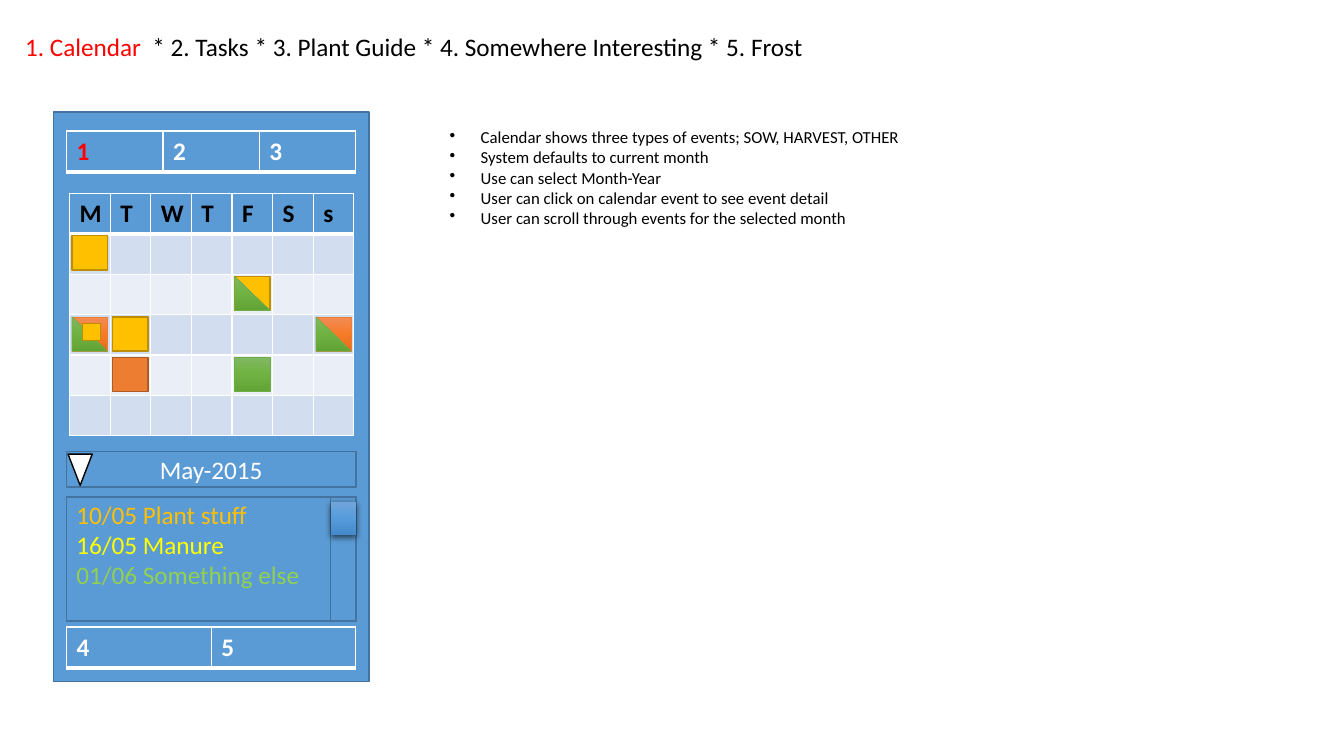
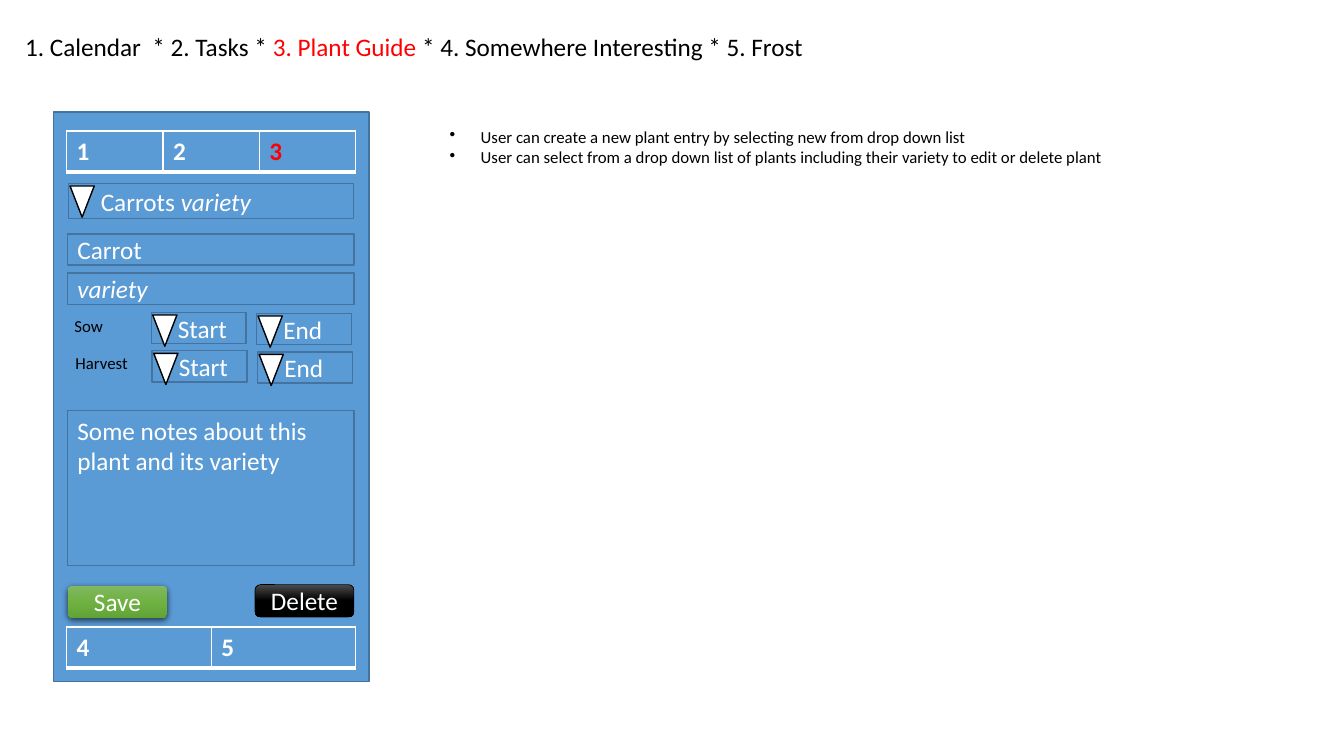
from dataclasses import dataclass

from pptx import Presentation
from pptx.dml.color import RGBColor
from pptx.enum.shapes import MSO_SHAPE as Preset
from pptx.enum.text import MSO_ANCHOR as Anchor, PP_ALIGN as Align
from pptx.oxml import parse_xml
from pptx.oxml.ns import nsdecls, qn
from pptx.util import Inches, Pt


@dataclass(frozen=True)
class Theme:
    font: str = "Calibri"
    large: int = 18
    small: int = 12
    ink: str = "000000"
    paper: str = "FFFFFF"
    active: str = "FF0000"
    panel: str = "5B9BD5"
    panel_edge: str = "43739E"
    bands: tuple = ("D2DEEF", "EAEFF7")
    gold: str = "FFC000"
    gold_edge: str = "BD8E00"
    orange: str = "ED7D31"
    orange_edge: str = "AF5C24"
    green: str = "70AD47"
    yellow: str = "FFFF00"
    lime: str = "92D050"
    green_blend: tuple = ("81B861", "6FB242", "62A336")
    orange_blend: tuple = ("F18C57", "F67B28", "E56C19")
    blue_blend: tuple = ("71A6DB", "559BDB", "448ACA")
    black_blend: tuple = ("4B4B4B", "000000", "000000")


@dataclass(frozen=True)
class Piece:
    text: str
    color: str
    italic: bool = False


THEME = Theme()
SLIDE_WIDTH, SLIDE_HEIGHT = Inches(13.33), Inches(7.5)
COLUMN, ROW = SLIDE_WIDTH / 133.3, SLIDE_HEIGHT / 75
SECTIONS = ("1. Calendar ", "2. Tasks", "3. Plant Guide", "4. Somewhere Interesting", "5. Frost")
CALENDAR_LEFT, CALENDAR_TOP, DAY = 6.9, 19.2, 4.03
MARKER = (3.5, 3.4)


def area(left, top, width, height):
    return round(left * COLUMN), round(top * ROW), round(width * COLUMN), round(height * ROW)


def paint(font, piece):
    font.color.rgb = RGBColor.from_string(piece.color)
    font.italic = piece.italic


def write(frame, paragraphs, size=THEME.large, bold=False, align=Align.LEFT):
    for index, pieces in enumerate(paragraphs):
        paragraph = frame.paragraphs[0] if index == 0 else frame.add_paragraph()
        paragraph.alignment = align
        font = paragraph.font
        font.name, font.size, font.bold = THEME.font, Pt(size), bold
        if len(pieces) == 1:
            paint(font, pieces[0])
        for piece in pieces:
            run = paragraph.add_run()
            run.text = piece.text
            if len(pieces) > 1:
                paint(run.font, piece)


def add_text(slide, box, paragraphs, size, wrap=False):
    frame = slide.shapes.add_textbox(*area(*box)).text_frame
    frame.word_wrap = wrap
    write(frame, paragraphs, size)
    return frame


def blend(shape, colors):
    stops = "".join(
        f'<a:gs pos="{index * 50000}"><a:srgbClr val="{color}"/></a:gs>'
        for index, color in enumerate(colors)
    )
    gradient = parse_xml(
        f'<a:gradFill {nsdecls("a")} rotWithShape="1"><a:gsLst>{stops}</a:gsLst>'
        '<a:lin ang="5400000" scaled="0"/></a:gradFill>'
    )
    shape.element.spPr.find(qn("a:prstGeom")).addnext(gradient)


def cast_shadow(shape):
    shape.element.spPr.find(qn("a:effectLst")).append(parse_xml(
        f'<a:outerShdw {nsdecls("a")} blurRad="57150" dist="19050" dir="5400000" '
        'algn="ctr" rotWithShape="0"><a:srgbClr val="000000">'
        '<a:alpha val="63000"/></a:srgbClr></a:outerShdw>'
    ))


def add_shape(slide, box, fill=THEME.panel, edge=THEME.panel_edge, preset=Preset.RECTANGLE):
    shape = slide.shapes.add_shape(preset, *area(*box))
    shape.shadow.inherit = False
    blended = isinstance(fill, tuple)
    if blended:
        blend(shape, fill)
    else:
        shape.fill.solid()
        shape.fill.fore_color.rgb = RGBColor.from_string(fill)
    if edge:
        shape.line.color.rgb = RGBColor.from_string(edge)
        shape.line.width = Pt(0.5 if blended else 1)
    else:
        shape.line.fill.background()
    return shape


def add_field(slide, box, paragraphs, align=Align.LEFT, anchor=Anchor.MIDDLE, inset=1):
    frame = add_shape(slide, box).text_frame
    frame.word_wrap = True
    frame.vertical_anchor = anchor
    frame.margin_left = round(inset * COLUMN)
    write(frame, paragraphs, align=align)
    return frame


def add_dropdown(slide, box, pieces, align=Align.LEFT, inset=1):
    add_field(slide, box, [pieces], align, inset=inset)
    arrow = (box[0] + 0.15, box[1] + 0.25, 2.4, 3.1)
    add_shape(slide, arrow, THEME.paper, THEME.ink, Preset.FLOWCHART_MERGE)


def add_button(slide, box, label, fill, edge):
    button = add_shape(slide, box, fill, edge, Preset.ROUNDED_RECTANGLE)
    button.text_frame.vertical_anchor = Anchor.MIDDLE
    write(button.text_frame, [[Piece(label, THEME.paper)]], align=Align.CENTER)
    return button


def style_cell(cell, fill, top, bottom):
    cell.fill.solid()
    cell.fill.fore_color.rgb = RGBColor.from_string(fill)
    properties = cell._tc.get_or_add_tcPr()
    for index, (side, width) in enumerate(zip("LRTB", (1, 1, top, bottom))):
        properties.insert(index, parse_xml(
            f'<a:ln{side} {nsdecls("a")} w="{Pt(width)}"><a:solidFill>'
            f'<a:srgbClr val="{THEME.paper}"/></a:solidFill></a:ln{side}>'
        ))


def add_grid(slide, box, headings, body_rows=0):
    rows = body_rows + 1
    table = slide.shapes.add_table(rows, len(headings), *area(*box)).table
    table.first_row = table.horz_banding = False
    for row in range(rows):
        for column, heading in enumerate(headings):
            cell = table.cell(row, column)
            if row == 0:
                style_cell(cell, THEME.panel, 1, 3)
                write(cell.text_frame, [[heading]], bold=True)
            else:
                style_cell(cell, THEME.bands[(row - 1) % 2], 3 if row == 1 else 1, 1)
                cell.text_frame.paragraphs[0].font.size = Pt(THEME.large)


def add_tabs(slide, top, numbers, active):
    tabs = [Piece(str(n), THEME.active if n == active else THEME.paper) for n in numbers]
    add_grid(slide, (6.6, top, 28.7, 4.1), tabs)


def add_notes(slide, width, lines):
    box = (43.6, 12.1, width, 1 + 2.02 * len(lines))
    frame = add_text(slide, box, [[Piece(line, THEME.ink)] for line in lines], THEME.small)
    for paragraph in frame.paragraphs:
        properties = paragraph._p.get_or_add_pPr()
        properties.set("marL", str(Inches(0.31)))
        properties.set("indent", str(-Inches(0.31)))
        properties.insert(0, parse_xml(f'<a:buChar {nsdecls("a")} char="•"/>'))


def add_screen(presentation, active, notes_width, notes):
    slide = presentation.slides.add_slide(presentation.slide_layouts[6])
    title = []
    for number, section in enumerate(SECTIONS, 1):
        if number > 1:
            title.append(Piece("* ", THEME.ink))
        ending = " " if number < len(SECTIONS) else ""
        title.append(Piece(section + ending, THEME.active if number == active else THEME.ink))
    add_text(slide, (1.5, 2.6, 79.5, 4), [title], THEME.large)
    add_shape(slide, (5.3, 11.1, 31.3, 56.5))
    add_tabs(slide, 13, (1, 2, 3), active)
    add_tabs(slide, 62.2, (4, 5), active)
    add_notes(slide, notes_width, notes)
    return slide


def add_event(slide, column, row, fill, edge, corner=False):
    box = (CALENDAR_LEFT + column * DAY + 0.25, CALENDAR_TOP + row * DAY + 0.15, *MARKER)
    add_shape(slide, box, fill, edge)
    if corner:
        add_shape(slide, box, THEME.green_blend, THEME.green, Preset.RIGHT_TRIANGLE)


def build_calendar(presentation):
    slide = add_screen(presentation, 1, 47.2, (
        "Calendar shows three types of events; SOW, HARVEST, OTHER",
        "System defaults to current month",
        "Use can select Month-Year",
        "User can click on calendar event to see event detail",
        "User can scroll through events for the selected month",
    ))
    days = [Piece(day, THEME.ink) for day in "MTWTFSs"]
    add_grid(slide, (CALENDAR_LEFT, CALENDAR_TOP, 7 * DAY, 24), days, 5)

    gold = (THEME.gold, THEME.gold_edge)
    mixed = (THEME.orange_blend, THEME.orange)
    for column, row, colors, corner in (
        (0, 1, gold, False),
        (1, 3, gold, False),
        (4, 2, gold, True),
        (4, 4, (THEME.green_blend, THEME.green), False),
        (6, 3, mixed, True),
        (1, 4, (THEME.orange, THEME.orange_edge), False),
        (0, 3, mixed, True),
    ):
        add_event(slide, column, row, *colors, corner)
    add_shape(slide, (8.2, 32.1, 1.8, 1.7), *gold)

    add_dropdown(slide, (6.6, 44.8, 28.7, 3.5), [Piece("May-2015", THEME.paper)], Align.CENTER)
    events = add_field(slide, (6.6, 49.3, 28.7, 12.3), [
        [Piece("10/05 Plant stuff", THEME.gold)],
        [Piece("16/05 Manure", THEME.yellow)],
        [Piece("01/06 Something else", THEME.lime)],
    ], anchor=Anchor.TOP)
    events.margin_top = round(0.2 * ROW)
    add_shape(slide, (32.8, 49.3, 2.5, 12.3))
    cast_shadow(add_shape(slide, (32.8, 49.8, 2.5, 3.3), THEME.blue_blend, None))


def build_plant_guide(presentation):
    slide = add_screen(presentation, 3, 67.5, (
        "User can create a new plant entry by selecting new from drop down list",
        "User can select from a drop down list of plants including their variety"
        " to edit or delete plant",
    ))
    variety = Piece("variety", THEME.paper, True)
    add_dropdown(slide, (6.8, 18.2, 28.3, 3.5), [Piece("Carrots ", THEME.paper), variety], inset=3.2)
    for row, piece in enumerate((Piece("Carrot", THEME.paper), variety)):
        add_field(slide, (6.7, 23.2 + 3.9 * row, 28.4, 3.1), [[piece]])
    for row, label in enumerate(("Sow", "Harvest")):
        label_box = (6.4 + 0.1 * row, 30.8 + 3.7 * row, 8, 3)
        add_text(slide, label_box, [[Piece(label, THEME.ink)]], THEME.small, True)
        for column, limit in enumerate(("Start", "End")):
            box = (15 + 10.45 * column + 0.1 * row, 31 + 0.1 * column + 3.8 * row, 9.4, 3.1)
            add_dropdown(slide, box, [Piece(limit, THEME.paper)], inset=2.65)
    notes = Piece("Some notes about this plant and its variety", THEME.paper)
    add_field(slide, (6.7, 40.7, 28.4, 15.4), [[notes]], anchor=Anchor.TOP)
    cast_shadow(add_button(slide, (6.7, 58.1, 9.9, 3.2), "Save", THEME.green_blend, None))
    add_button(slide, (25.3, 58, 9.8, 3.2), "Delete", THEME.black_blend, THEME.ink)


def main():
    presentation = Presentation()
    presentation.slide_width, presentation.slide_height = SLIDE_WIDTH, SLIDE_HEIGHT
    build_calendar(presentation)
    build_plant_guide(presentation)
    presentation.save("out.pptx")


if __name__ == "__main__":
    main()
